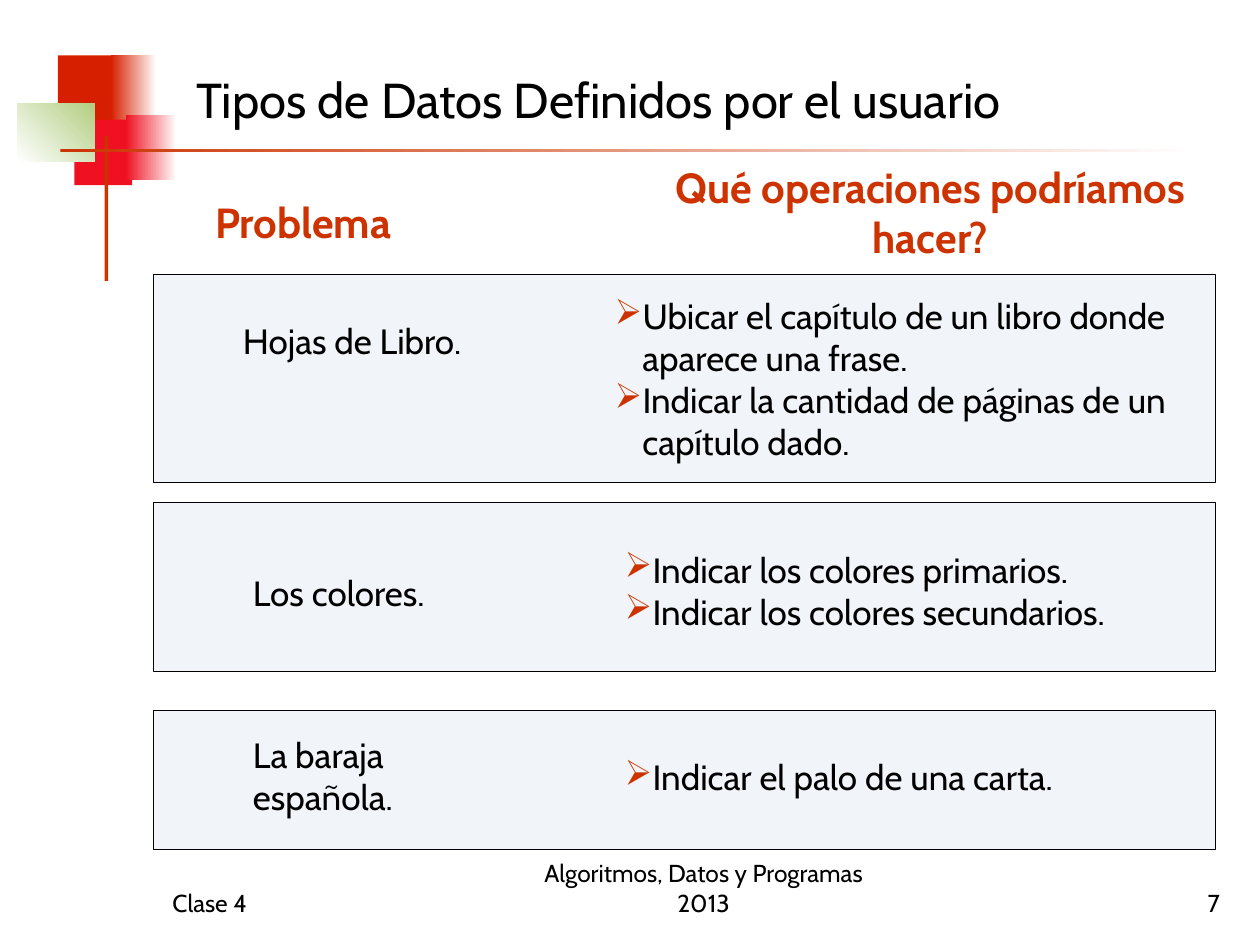
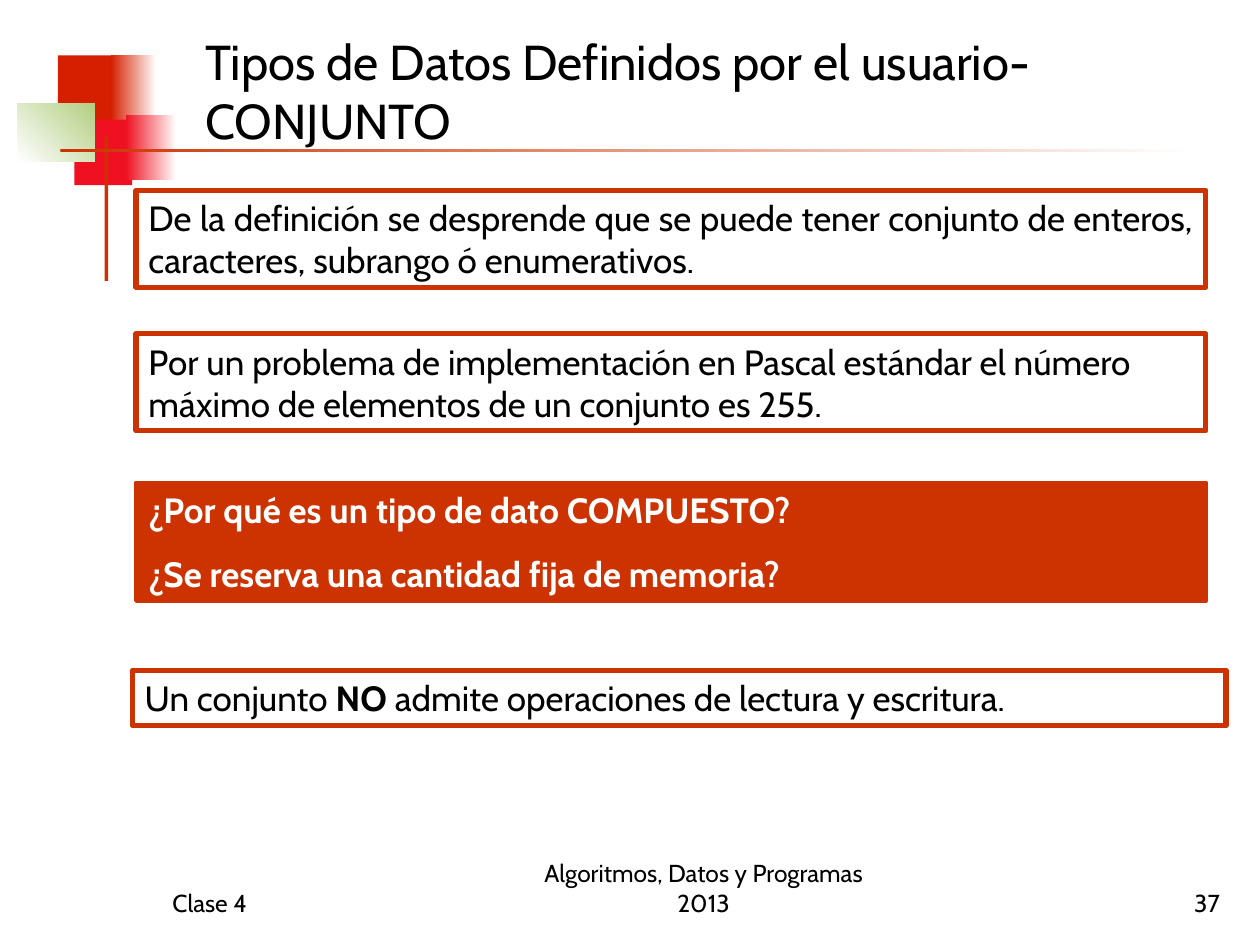
from collections import namedtuple

from lxml.etree import SubElement
from pptx import Presentation
from pptx.dml.color import RGBColor as Rgb
from pptx.enum.shapes import MSO_SHAPE as Shape
from pptx.enum.text import MSO_ANCHOR as Anchor, PP_ALIGN as Align
from pptx.oxml.ns import qn
from pptx.util import Inches, Pt

COLORS = {
    "black": "000000",
    "white": "FFFFFF",
    "accent": "CC3300",
    "red": "D61F00",
    "crimson": "EF1121",
    "green": "B3CE82",
    "row": "F1F5F9",
}
FONT = "Cabin"
Box = namedtuple("Box", "left top width height")


def inside(box, left, top, width, height):
    return Box(box.left + left, box.top + top, width, height)


def color(name):
    return Rgb.from_string(COLORS[name])


def lengths(box):
    return [Inches(value) for value in box]


def add_rect(page, box, fill=None, line=None, weight=0.75):
    rect = page.shapes.add_shape(Shape.RECTANGLE, *lengths(box))
    rect.shadow.inherit = False
    if fill:
        rect.fill.solid()
        rect.fill.fore_color.rgb = color(fill)
    else:
        rect.fill.background()
    if line:
        rect.line.color.rgb = color(line)
        rect.line.width = Pt(weight)
    else:
        rect.line.fill.background()
    return rect


def add_fade(page, box, start, end, angle=0):
    rect = add_rect(page, box)
    rect.fill.gradient()
    rect.fill.gradient_angle = angle
    for stop, name in zip(rect.fill.gradient_stops, (start, end)):
        stop.color.rgb = color(name)


def add_bullet(para):
    props = para._p.get_or_add_pPr()
    props.set("marL", str(Inches(0.39)))
    props.set("indent", str(Inches(-0.22)))
    tint = SubElement(props, qn("a:buClr"))
    SubElement(tint, qn("a:srgbClr")).set("val", COLORS["accent"])
    SubElement(props, qn("a:buChar")).set("char", "➢")


def write(shape, paragraphs, size=20, name="black", bold=False, align=Align.LEFT,
          anchor=Anchor.TOP, bullets=False, gap=0):
    frame = shape.text_frame
    frame.word_wrap = True
    frame.vertical_anchor = anchor
    frame.text = "\n".join(paragraphs)
    for index, para in enumerate(frame.paragraphs):
        if bullets:
            add_bullet(para)
        if gap and index:
            para.space_before = Pt(gap)
        para.alignment = align
        for span in para.runs:
            style(span, size, name, bold)
    return frame


def style(span, size, name, bold):
    span.font.name = FONT
    span.font.size = Pt(size)
    span.font.bold = bold
    span.font.color.rgb = color(name)


def add_text(page, box, paragraphs, **options):
    return write(page.shapes.add_textbox(*lengths(box)), paragraphs, **options)


def add_ornament(page, box):
    add_rect(page, inside(box, 0.32, 0, 0.48, 0.52), "red")
    add_fade(page, inside(box, 0.74, 0, 0.36, 0.52), "red", "white")
    add_rect(page, inside(box, 0.45, 0.51, 0.46, 0.52), "crimson")
    add_fade(page, inside(box, 0.86, 0.47, 0.4, 0.52), "crimson", "white")
    add_fade(page, inside(box, 0, 0.38, 0.61, 0.46), "white", "green", 45)
    add_rect(page, inside(box, 0.69, 0.64, 0.03, 1.15), "accent")
    add_fade(page, inside(box, 0.34, 0.74, 9, 0.03), "accent", "white")


def add_footer(page, box, number):
    parts = [
        (0, 2.08, "Clase 4", Align.LEFT),
        (2.73, 3.17, "Algoritmos, Datos y Programas 2013", Align.CENTER),
        (6.43, 2.08, str(number), Align.RIGHT),
    ]
    for left, width, text, align in parts:
        add_text(page, inside(box, left, 0, width, box.height), [text],
                 size=14, align=align, anchor=Anchor.BOTTOM)


def add_page(deck, title, title_box, anchor, number):
    page = deck.slides.add_slide(deck.slide_layouts[6])
    add_ornament(page, Box(0.14, 0.44, 9.34, 1.79))
    add_text(page, title_box, [title], size=28, anchor=anchor)
    add_footer(page, Box(1.27, 6.83, 8.51, 0.5), number)
    return page


def add_headings(page, box):
    heading = {"size": 24, "name": "accent", "bold": True}
    add_text(page, inside(box, 0, 0.28, 2.99, 0.5), ["Problema"], **heading)
    add_text(page, inside(box, 3.47, 0, 4.61, 0.9),
             ["Qué operaciones podríamos hacer?"], align=Align.CENTER, **heading)


def add_problem_row(page, box, problem, problem_at, operations, operations_at):
    add_rect(page, box, "row", "black")
    add_text(page, inside(box, *problem_at, 2.23, 0.44), [problem])
    add_text(page, inside(box, *operations_at, 5, 0.44 * len(operations)),
             operations, bullets=True)


def add_problems_page(deck):
    page = add_page(deck, "Tipos de Datos Definidos por el usuario",
                    Box(1.46, 0.24, 8, 0.83), Anchor.BOTTOM, 7)
    add_headings(page, Box(1.61, 1.23, 8.08, 0.9))
    rows = [
        (2.18, 1.65, "Hojas de Libro.", (0.61, 0.31),
         ["Ubicar el capítulo de un libro donde aparece una frase.",
          "Indicar la cantidad de páginas de un capítulo dado."], (3.39, 0.11)),
        (3.99, 1.34, "Los colores.", (0.69, 0.5),
         ["Indicar los colores primarios.",
          "Indicar los colores secundarios."], (3.47, 0.31)),
        (5.64, 1.1, "La baraja española.", (0.69, 0.13),
         ["Indicar el palo de una carta."], (3.47, 0.31)),
    ]
    for top, height, *content in rows:
        add_problem_row(page, Box(1.22, top, 8.43, height), *content)


def add_framed_note(page, box, text, align=Align.LEFT):
    return write(add_rect(page, box, line="accent", weight=3), [text], align=align)


def add_questions(page, box, questions):
    write(add_rect(page, box, "accent", "accent", 2.25), questions,
          name="white", bold=True, align=Align.JUSTIFY, gap=12.5)


def add_set_page(deck):
    page = add_page(deck, "Tipos de Datos Definidos por el usuario-\vCONJUNTO",
                    Box(1.53, 0.13, 8, 1.17), Anchor.MIDDLE, 37)
    notes = [
        ("De la definición se desprende que se puede tener conjunto de enteros, "
         "caracteres, subrango ó enumerativos.", Align.JUSTIFY),
        ("Por un problema de implementación en Pascal estándar el número máximo "
         "de elementos de un conjunto es 255.", Align.LEFT),
    ]
    for index, (text, align) in enumerate(notes):
        add_framed_note(page, Box(1.08, 1.51 + 1.14 * index, 8.49, 0.77), text, align)
    add_questions(page, Box(1.08, 3.83, 8.49, 0.94),
                  ["¿Por qué es un tipo de dato COMPUESTO?",
                   "¿Se reserva una cantidad fija de memoria?"])
    frame = add_framed_note(page, Box(1.05, 5.32, 8.68, 0.44), "Un conjunto ")
    para = frame.paragraphs[0]
    for text, bold in [("NO", True), (" admite operaciones de lectura y escritura.", False)]:
        span = para.add_run()
        span.text = text
        style(span, 20, "black", bold)


def main():
    deck = Presentation()
    deck.slide_width = Inches(10)
    deck.slide_height = Inches(7.5)
    add_problems_page(deck)
    add_set_page(deck)
    deck.save("out.pptx")


if __name__ == "__main__":
    main()
